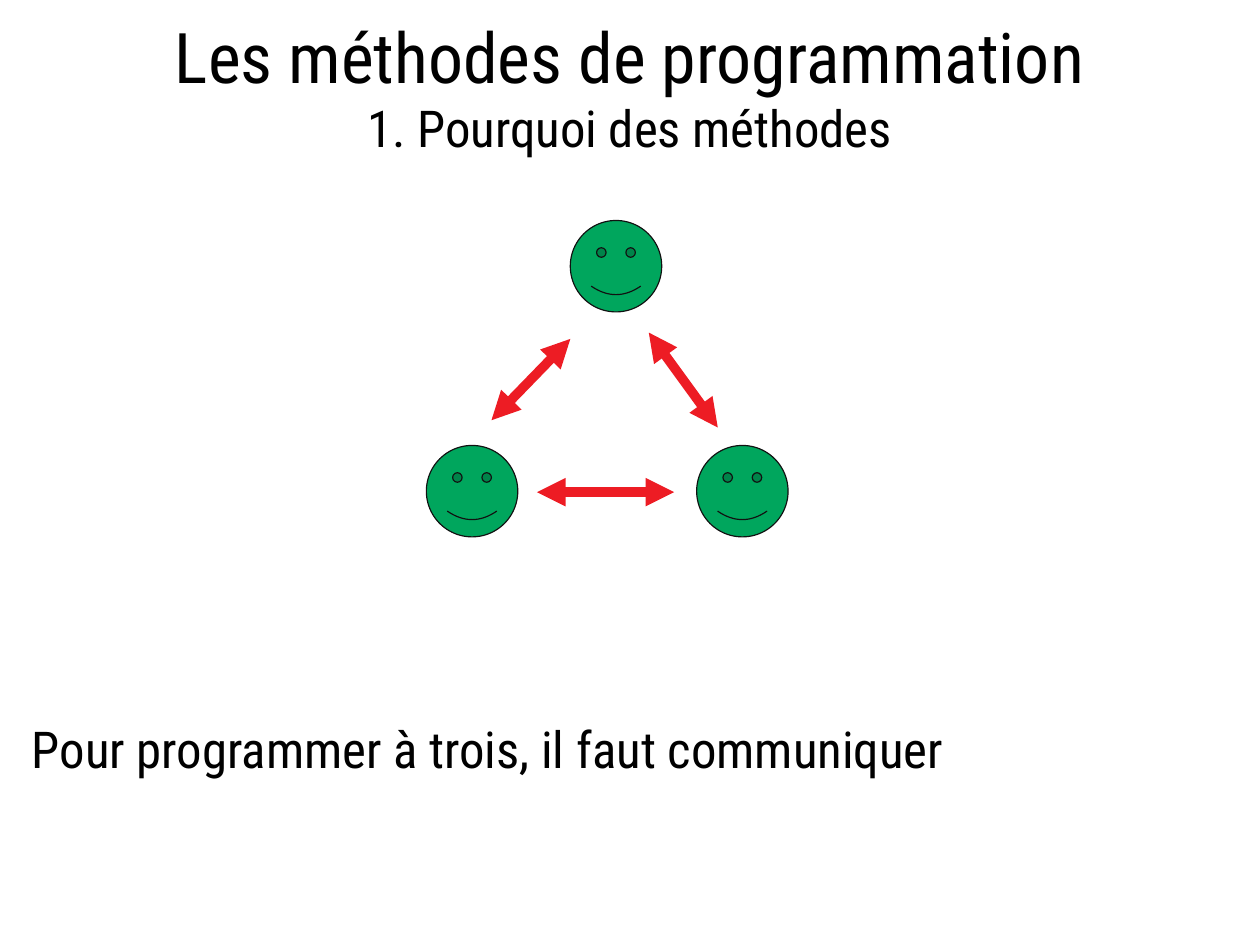
"""Builds a slide on programming methods: three programmers who must communicate."""
from dataclasses import dataclass

from lxml import etree
from pptx import Presentation
from pptx.dml.color import RGBColor
from pptx.enum import shapes, text
from pptx.oxml import ns
from pptx.util import Pt


@dataclass(frozen=True)
class Theme:
    """Colours, font and type sizes of the slide."""
    font: str = "Roboto Condensed"
    ink: RGBColor = RGBColor(0x00, 0x00, 0x00)
    face: RGBColor = RGBColor(0x00, 0xA6, 0x5D)
    outline: RGBColor = RGBColor(0x11, 0x11, 0x11)
    arrow: RGBColor = RGBColor(0xED, 0x1C, 0x24)
    title_size: int = 44
    text_size: int = 32


THEME = Theme()
LEFT, WIDTH = 20, 753.75
FACE_SIZE = 57.6
FACES = [(268.6, 280.6), (438.9, 280.6), (359.3, 138.9)]
ARROWS = [
    (338.3, 310, 424.7, 310),
    (309.6, 264.7, 359.3, 213.5),
    (452.2, 269.3, 408.7, 209.5),
]


def write_text(paragraph, content, *, size, color=THEME.ink, font=THEME.font):
    """Add a formatted run to a paragraph."""
    run = paragraph.add_run()
    run.text = content
    run.font.name = font
    run.font.size = Pt(size)
    run.font.color.rgb = color


def prepare_placeholder(placeholder, top, height, *, align, anchor, inset=0):
    """Place a placeholder, set its top inset and return its first paragraph."""
    placeholder.left, placeholder.top = Pt(LEFT), Pt(top)
    placeholder.width, placeholder.height = Pt(WIDTH), Pt(height)
    frame = placeholder.text_frame
    frame.margin_left = frame.margin_right = frame.margin_bottom = Pt(0)
    frame.margin_top = Pt(inset)
    frame.word_wrap = True
    frame.auto_size = text.MSO_AUTO_SIZE.NONE
    frame.vertical_anchor = anchor
    paragraph = frame.paragraphs[0]
    paragraph.alignment = align
    paragraph.space_before = Pt(0)
    return paragraph


def remove_bullet(paragraph):
    """Remove the bullet and the hanging indent of a paragraph."""
    properties = paragraph._p.get_or_add_pPr()
    properties.set("marL", "0")
    properties.set("indent", "0")
    etree.SubElement(properties, ns.qn("a:buNone"))


def add_face(slide, left, top):
    """Add a smiling programmer."""
    face = slide.shapes.add_shape(
        shapes.MSO_SHAPE.SMILEY_FACE, Pt(left), Pt(top), Pt(FACE_SIZE), Pt(FACE_SIZE)
    )
    face.shadow.inherit = False
    face.fill.solid()
    face.fill.fore_color.rgb = THEME.face
    face.line.color.rgb = THEME.outline
    face.line.width = Pt(0)


def add_double_arrow(slide, *ends):
    """Add a line with a triangle at both ends."""
    arrow = slide.shapes.add_connector(
        shapes.MSO_CONNECTOR.STRAIGHT, *(Pt(value) for value in ends)
    )
    arrow.line.color.rgb = THEME.arrow
    arrow.line.width = Pt(6)
    line = arrow.line._get_or_add_ln()
    for tag in ("a:headEnd", "a:tailEnd"):
        etree.SubElement(line, ns.qn(tag), type="triangle")
    etree.SubElement(arrow._element.spPr, ns.qn("a:effectLst"))


def main():
    """Build and save the slide."""
    presentation = Presentation()
    presentation.slide_width, presentation.slide_height = Pt(793.75), Pt(595.25)
    slide = presentation.slides.add_slide(presentation.slide_layouts[1])

    title = prepare_placeholder(
        slide.shapes.title, 5.76, 96.48,
        align=text.PP_ALIGN.CENTER, anchor=text.MSO_ANCHOR.MIDDLE,
    )
    write_text(title, "Les méthodes de programmation", size=THEME.title_size)
    title.add_line_break()
    write_text(title, "1. Pourquoi des méthodes", size=THEME.text_size)

    body = prepare_placeholder(
        slide.placeholders[1], 106.5, 460.8,
        align=text.PP_ALIGN.LEFT, anchor=text.MSO_ANCHOR.TOP, inset=345.4,
    )
    remove_bullet(body)
    write_text(body, "Pour programmer à trois, il faut communiquer", size=THEME.text_size)

    for position in FACES:
        add_face(slide, *position)
    for ends in ARROWS:
        add_double_arrow(slide, *ends)

    presentation.save("out.pptx")


if __name__ == "__main__":
    main()
